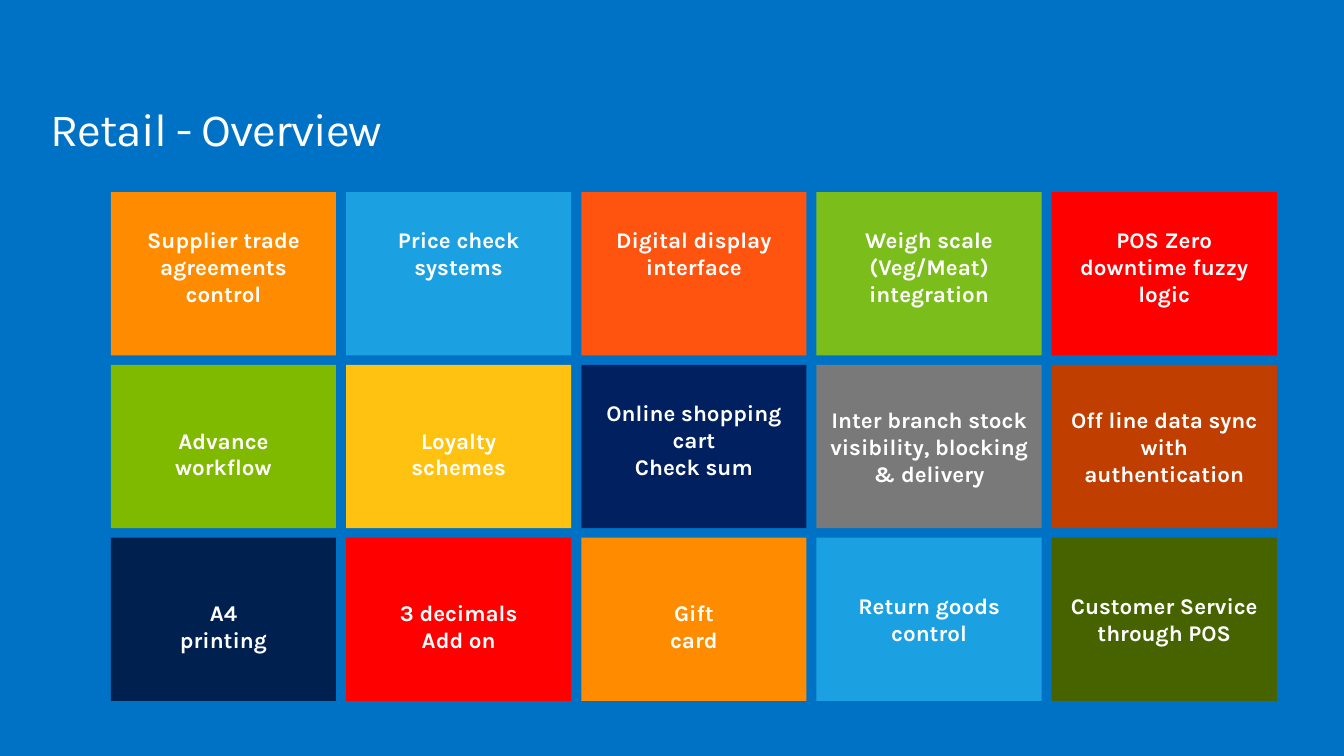
from pptx import Presentation
from pptx.dml.color import RGBColor
from pptx.enum import shapes, text
from pptx.util import Inches, Pt

FONT = "Karla"
WHITE = "FFFFFF"
TILE_WIDTH, TILE_HEIGHT = 3.35, 2.43
COLUMN_PITCH, ROW_PITCH = 3.5, 2.57
LINE_HEIGHT = 0.41

# Each tile: text, fill, lines left free above it (None centres it vertically)
TILES = [
    [
        ("Supplier trade agreements control", "FF8C00", 1),
        ("Price check systems", "1BA1E2", 1),
        ("Digital display interface", "FF5310", 1),
        ("Weigh scale (Veg/Meat) integration", "7BBE1C", 1),
        ("POS Zero downtime fuzzy logic", "FF0000", 1),
    ],
    [
        ("Advance\nworkflow", "7FBA00", 2),
        ("Loyalty\nschemes", "FFC211", 2),
        ("Online shopping cart\nCheck sum", "002060", 1),
        ("Inter branch stock visibility, blocking & delivery", "797979", None),
        ("Off line data sync with authentication", "BF3E00", None),
    ],
    [
        ("A4\nprinting", "002050", 2),
        ("3 decimals\nAdd on", "FF0000", 2),
        ("Gift\ncard", "FF8C00", 2),
        ("Return goods control", "1BA1E2", None),
        ("Customer Service through POS", "466300", None),
    ],
]


def paint(fill, colour):
    fill.solid()
    fill.fore_color.rgb = RGBColor.from_string(colour)


def write(frame, words, size, bold=False, align=text.PP_ALIGN.LEFT,
          anchor=text.MSO_ANCHOR.TOP, insets=(0, 0, 0, 0),
          line_spacing=None, tracking=None):
    """Fill a text frame, one paragraph for each line of words."""
    frame.word_wrap = True
    frame.vertical_anchor = anchor
    (frame.margin_left, frame.margin_top,
     frame.margin_right, frame.margin_bottom) = map(Inches, insets)
    for index, line in enumerate(words.split("\n")):
        para = frame.add_paragraph() if index else frame.paragraphs[0]
        para.alignment = align
        if line_spacing:
            para.line_spacing = line_spacing
        span = para.add_run()
        span.text = line
        span.font.name = FONT
        span.font.size = Pt(size)
        span.font.bold = bold
        span.font.color.rgb = RGBColor.from_string(WHITE)
        if tracking:
            span.font._element.set("spc", str(tracking * 100))


def add_title(page, left, top, width, height):
    box = page.shapes.add_textbox(*map(Inches, (left, top, width, height)))
    write(box.text_frame, "Retail - Overview", 49.5,
          line_spacing=0.9, tracking=-1)


def add_tile(page, left, top, words, colour, free_lines):
    tile = page.shapes.add_shape(
        shapes.MSO_SHAPE.RECTANGLE,
        *map(Inches, (left, top, TILE_WIDTH, TILE_HEIGHT)))
    tile.shadow.inherit = False
    paint(tile.fill, colour)
    tile.line.fill.background()
    centred = free_lines is None
    top_inset = 0.1 + LINE_HEIGHT * (free_lines or 0)
    write(tile.text_frame, words, 24, bold=True, align=text.PP_ALIGN.CENTER,
          anchor=text.MSO_ANCHOR.MIDDLE if centred else text.MSO_ANCHOR.TOP,
          insets=(0.15, top_inset, 0.15, 0.1))


def add_tile_grid(page, left, top):
    for row, tiles in enumerate(TILES):
        for column, tile in enumerate(tiles):
            add_tile(page, left + column * COLUMN_PITCH,
                     top + row * ROW_PITCH, *tile)


def main():
    deck = Presentation()
    deck.slide_width, deck.slide_height = Inches(20), Inches(11.25)
    page = deck.slides.add_slide(deck.slide_layouts[6])
    paint(page.background.fill, "0072C6")
    add_title(page, 0.75, 1.59, 8.67, 0.75)
    add_tile_grid(page, 1.65, 2.86)
    deck.save("out.pptx")


if __name__ == "__main__":
    main()
